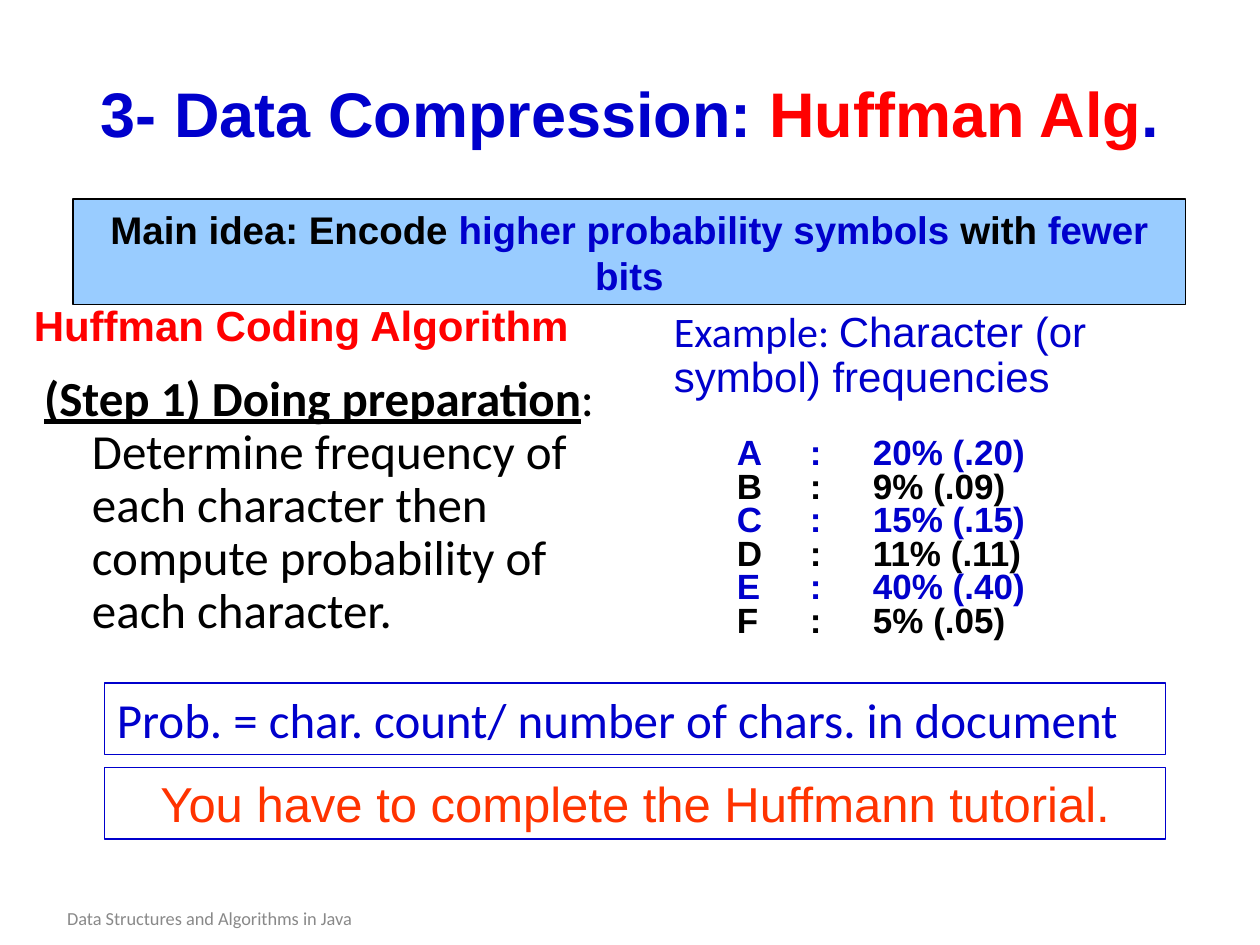
from pptx import Presentation
from pptx.dml.color import RGBColor
from pptx.enum.shapes import MSO_SHAPE
from pptx.enum.text import MSO_ANCHOR, PP_ALIGN
from pptx.util import Inches, Pt
from lxml import etree

LEFT, CENTER = PP_ALIGN.LEFT, PP_ALIGN.CENTER
TOP, MIDDLE = MSO_ANCHOR.TOP, MSO_ANCHOR.MIDDLE
BLUE, RED, BLACK, ORANGE, GREY, SKY = (
    "0000CC", "FF0000", "000000", "FF3300", "898989", "99CCFF")
SANS, HUMAN = "Arial", "Calibri"

# Each run: text, font, size, colour, bold, underline
TITLE = [("3- Data Compression: ", SANS, 36, BLUE, True, False),
         ("Huffman Alg", SANS, 36, RED, True, False),
         (".", SANS, 36, BLUE, True, False)]
MAIN_IDEA = [("Main idea: Encode ", SANS, 22, BLACK, True, False),
             ("higher probability symbols", SANS, 22, BLUE, True, False),
             (" with ", SANS, 22, BLACK, True, False),
             ("fewer bits", SANS, 22, BLUE, True, False)]
HEADING = [("Huffman Coding Algorithm", SANS, 24, RED, True, False)]
STEP = [("(Step 1) Doing preparation", HUMAN, 28, BLACK, True, True),
        (": ", HUMAN, 28, BLACK, False, False),
        ("Determine frequency of each character then compute probability "
         "of each character.", HUMAN, 28, BLACK, False, False)]
EXAMPLE = [("Example: ", HUMAN, 24, BLUE, False, False),
           ("Character (or symbol) frequencies", SANS, 24, BLUE, False, False)]
FREQUENCIES = [("A", "20% (.20)"), ("B", "9% (.09)"), ("C", "15% (.15)"),
               ("D", "11% (.11)"), ("E", "40% (.40)"), ("F", "5% (.05)")]
FORMULA = [("Prob. = char. count/ number of chars. in document",
            HUMAN, 28, BLUE, False, False)]
TASK = [("You have to complete the Huffmann tutorial.",
         SANS, 28, ORANGE, False, False)]
FOOTER = [("Data Structures and Algorithms in Java",
           HUMAN, 10.5, GREY, False, False)]


def color(hex_code):
    return RGBColor.from_string(hex_code)


def write(paragraph, runs, align=LEFT):
    paragraph.alignment = align
    for text, font, size, hue, bold, underline in runs:
        run = paragraph.add_run()
        run.text = text
        run.font.name, run.font.size = font, Pt(size)
        run.font.bold, run.font.underline = bold, underline
        run.font.color.rgb = color(hue)


def hang(paragraph, margin, indent):
    """Give the paragraph a hanging indent without a bullet."""
    properties = paragraph._p.get_or_add_pPr()
    properties.set("marL", str(Inches(margin)))
    properties.set("indent", str(Inches(indent)))
    etree.SubElement(
        properties,
        "{http://schemas.openxmlformats.org/drawingml/2006/main}buNone")


def place(shape, left, top, width, height):
    shape.left, shape.top = Inches(left), Inches(top)
    shape.width, shape.height = Inches(width), Inches(height)


def add_text(slide, box, runs, align=LEFT, anchor=TOP):
    frame = slide.shapes.add_textbox(*map(Inches, box)).text_frame
    frame.word_wrap = True
    frame.vertical_anchor = anchor
    write(frame.paragraphs[0], runs, align)
    return frame


def add_panel(slide, box, runs, align, line, fill=None):
    panel = slide.shapes.add_shape(MSO_SHAPE.RECTANGLE, *map(Inches, box))
    panel.shadow.inherit = False
    if fill:
        panel.fill.solid()
        panel.fill.fore_color.rgb = color(fill)
    else:
        panel.fill.background()
    panel.line.color.rgb = color(line)
    panel.line.width = Pt(0.75)
    panel.text_frame.word_wrap = True
    panel.text_frame.vertical_anchor = MIDDLE
    write(panel.text_frame.paragraphs[0], runs, align)


def add_frequencies(slide):
    frame = add_text(slide, (5.25, 2.42, 4.33, 2.75), EXAMPLE)
    frame.paragraphs[0].line_spacing = 0.9
    for index, (symbol, share) in enumerate(FREQUENCIES):
        row = frame.add_paragraph()
        hue = BLACK if index % 2 else BLUE
        write(row, [(f"{symbol}\t:\t{share}", SANS, 20, hue, True, False)])
        row.line_spacing = 0.8
        row.space_before = Pt(0 if index else 21)
        hang(row, 1.08, -0.58)


def main():
    deck = Presentation()
    deck.slide_width, deck.slide_height = Inches(10), Inches(7.5)
    slide = deck.slides.add_slide(deck.slide_layouts[1])

    title, body = slide.placeholders
    place(title, 0.5, 0.54, 9, 0.71)
    title.text_frame.vertical_anchor = MIDDLE
    write(title.text_frame.paragraphs[0], TITLE, CENTER)

    place(body, 0.25, 2.92, 5, 2.67)
    step = body.text_frame.paragraphs[0]
    write(step, STEP)
    step.line_spacing = 0.9
    hang(step, 0.38, -0.38)

    add_panel(slide, (0.58, 1.58, 8.83, 0.84), MAIN_IDEA, CENTER, BLACK, SKY)
    add_frequencies(slide)
    add_text(slide, (0.17, 2.33, 4.67, 0.5), HEADING)
    for top, runs, align in ((5.42, FORMULA, LEFT), (6.09, TASK, CENTER)):
        add_panel(slide, (0.83, top, 8.42, 0.57), runs, align, BLUE)
    add_text(slide, (0.08, 7.17, 3.17, 0.23), FOOTER, CENTER, MIDDLE)

    deck.save("out.pptx")


if __name__ == "__main__":
    main()
